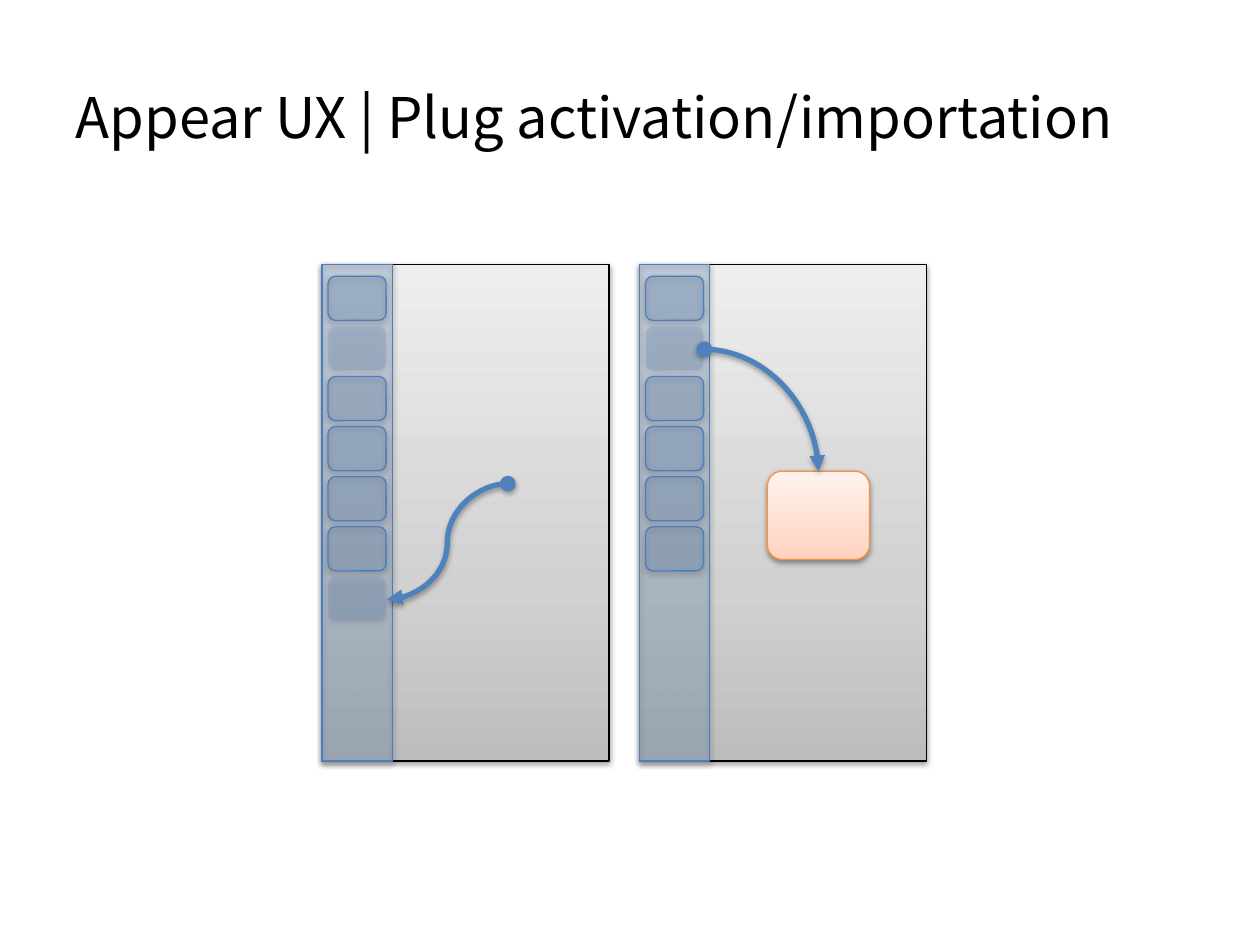
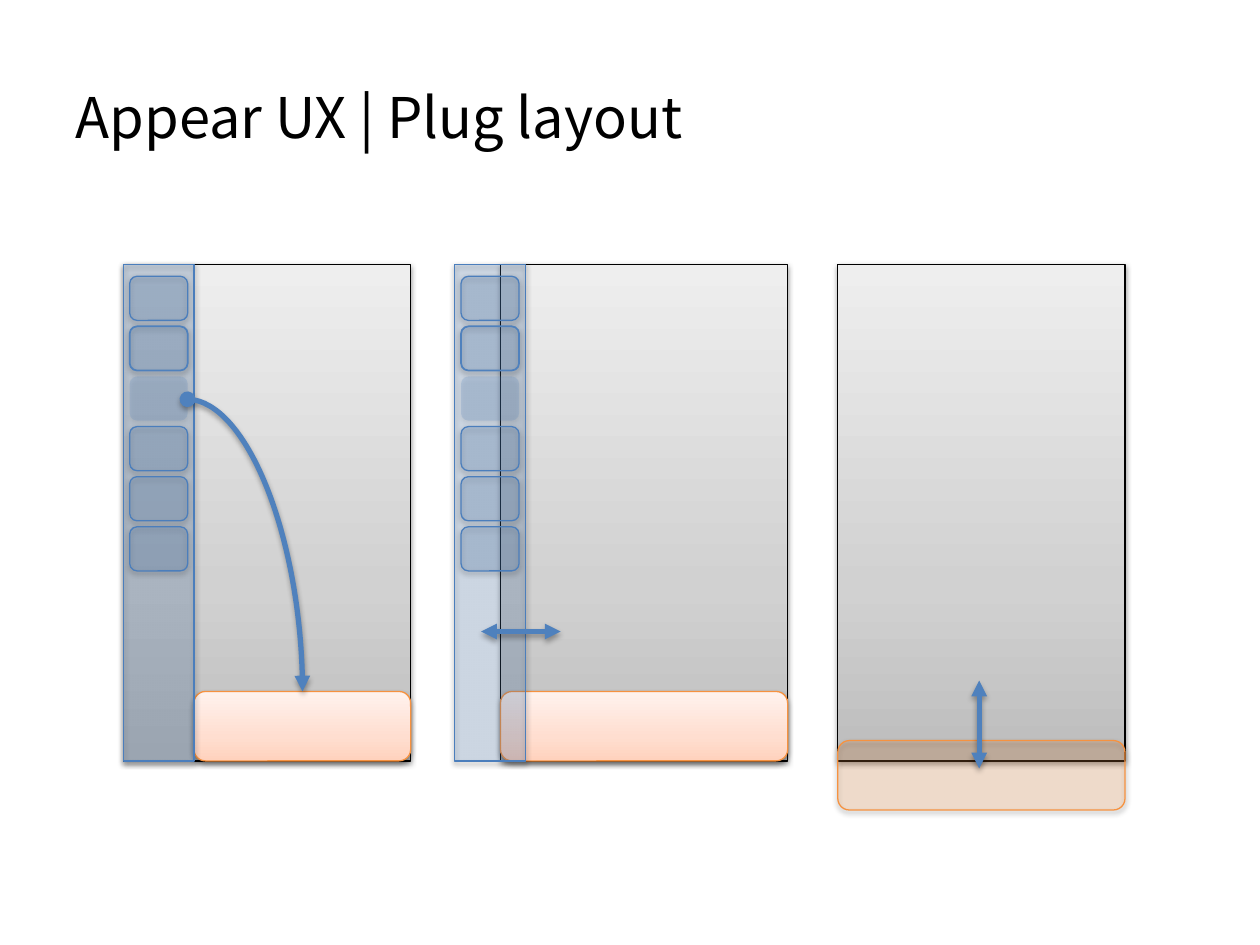
from lxml import etree
from pptx import Presentation
from pptx.dml.color import RGBColor
from pptx.enum.shapes import MSO_CONNECTOR, MSO_SHAPE
from pptx.enum.text import MSO_ANCHOR, PP_ALIGN
from pptx.oxml import parse_xml
from pptx.oxml.ns import nsdecls, qn
from pptx.util import Cm, Pt

RECT, ROUND = MSO_SHAPE.RECTANGLE, MSO_SHAPE.ROUNDED_RECTANGLE
STRAIGHT, CURVE = MSO_CONNECTOR.STRAIGHT, MSO_CONNECTOR.CURVE
LEFT, MIDDLE = PP_ALIGN.LEFT, MSO_ANCHOR.MIDDLE
rgb = RGBColor.from_string

FONT = "Noto Sans CJK KR"
BLUE, ORANGE = "4F81BD", "F79646"
GREY_FADE = [(0, "BDBDBD"), (35, "D1D1D1"), (100, "EEEEEE")]
PEACH_FADE = [(0, "FFD2BD"), (35, "FFDED0"), (100, "FFF2ED")]
BLACK_LINE, BLUE_LINE, ORANGE_LINE = ("000000", 0.75), ("4B7EBC", 0.75), ("F69240", 0.75)
SLOT_LINES = {"n": BLUE_LINE, "h": (BLUE, 1), "-": None}
SHADOW = (
    f'<a:effectLst {nsdecls("a")}><a:outerShdw blurRad="40000" dist="%d" dir="5400000" '
    'rotWithShape="0"><a:srgbClr val="000000"><a:alpha val="%d"/></a:srgbClr>'
    '</a:outerShdw></a:effectLst>'
)

SCREEN_TOP, SCREEN_W, SCREEN_H = 5.33, 5.79, 10.01
SIDEBAR_W = 1.42
SLOT_W, SLOT_H, SLOT_TOP, SLOT_PITCH = 1.17, 0.89, 5.57, 1.01
CARD_H = 1.4


def add_box(s, kind, x, y, w, h, fill, line):
    sp = s.shapes.add_shape(kind, Cm(x), Cm(y), Cm(w), Cm(h))
    sp.shadow.inherit = False
    spPr = sp._element.spPr
    if isinstance(fill, list):
        sp.fill.gradient()
        sp.fill.gradient_angle = 90
        stops = spPr.find(".//" + qn("a:gsLst"))
        stops.clear()
        for pos, colour in fill:
            gs = etree.SubElement(stops, qn("a:gs"), pos=str(pos * 1000))
            etree.SubElement(gs, qn("a:srgbClr"), val=colour)
    else:
        sp.fill.solid()
        sp.fill.fore_color.rgb = rgb(fill)
        clr = spPr.find(".//" + qn("a:srgbClr"))
        etree.SubElement(clr, qn("a:alpha"), val="20000")
    if line:
        sp.line.color.rgb = rgb(line[0])
        sp.line.width = Pt(line[1])
    else:
        sp.line.fill.background()
    spPr.remove(spPr.find(qn("a:effectLst")))
    spPr.append(parse_xml(SHADOW % (20000, 38000)))


def add_arrow(s, kind, x1, y1, x2, y2, head, quarter=False):
    cx = s.shapes.add_connector(kind, Cm(x1), Cm(y1), Cm(x2), Cm(y2))
    cx.line.color.rgb = rgb(BLUE)
    cx.line.width = Pt(3)
    spPr = cx._element.spPr
    if quarter:
        spPr.find(qn("a:prstGeom")).set("prst", "curvedConnector2")
    ln = spPr.find(qn("a:ln"))
    etree.SubElement(ln, qn("a:headEnd"), type=head)
    etree.SubElement(ln, qn("a:tailEnd"), type="triangle")
    spPr.append(parse_xml(SHADOW % (23000, 35000)))


# (screen x, sidebar x, slots, card, arrow)
SLIDES = [
    ("Appear UX | Plug activation/importation", [
        (6.49, 6.49, "n-nnnn-", None,
         (CURVE, 10.24, 9.75, 7.8, 12.09, "oval")),
        (12.89, 12.89, "n-nnnn", (15.47, 9.5, 2.06, 1.78, PEACH_FADE),
         (CURVE, 14.2, 7.04, 16.5, 9.5, "oval", True)),
    ]),
    ("Appear UX | Plug layout", [
        (2.49, 2.49, "nh-nnn",
         (3.91, 13.94, SCREEN_W - SIDEBAR_W, CARD_H, PEACH_FADE),
         (CURVE, 3.78, 8.05, 6.1, 13.94, "oval", True)),
        (10.09, 9.17, "nh-nnn", (10.09, 13.94, SCREEN_W, CARD_H, PEACH_FADE),
         (STRAIGHT, 9.7, 12.73, 11.3, 12.73, "triangle")),
        (16.89, None, "", (16.89, 14.93, SCREEN_W, CARD_H, ORANGE),
         (STRAIGHT, 19.74, 13.72, 19.74, 15.49, "triangle")),
    ]),
]

prs = Presentation()
prs.slide_width, prs.slide_height = Cm(25.4), Cm(19.05)

for title, screens in SLIDES:
    s = prs.slides.add_slide(prs.slide_layouts[5])
    sp = s.shapes.title
    sp.left, sp.top, sp.width, sp.height = Cm(1.27), Cm(0.76), Cm(22.86), Cm(3.18)
    tf = sp.text_frame
    tf.vertical_anchor = MIDDLE
    p = tf.paragraphs[0]
    p.alignment = LEFT
    r = p.add_run()
    r.text = title
    r.font.name = FONT
    r.font.size = Pt(32)
    r.font.color.rgb = rgb("000000")

    for screen_x, sidebar_x, slots, card, arrow in screens:
        add_box(s, RECT, screen_x, SCREEN_TOP, SCREEN_W, SCREEN_H, GREY_FADE, BLACK_LINE)
        if card:
            add_box(s, ROUND, *card, ORANGE_LINE)
        if sidebar_x is not None:
            add_box(s, RECT, sidebar_x, SCREEN_TOP, SIDEBAR_W, SCREEN_H, BLUE, BLUE_LINE)
        for i, slot in enumerate(slots):
            add_box(s, ROUND, sidebar_x + (SIDEBAR_W - SLOT_W) / 2, SLOT_TOP + i * SLOT_PITCH,
                    SLOT_W, SLOT_H, BLUE, SLOT_LINES[slot])
        add_arrow(s, *arrow)

prs.save("out.pptx")
